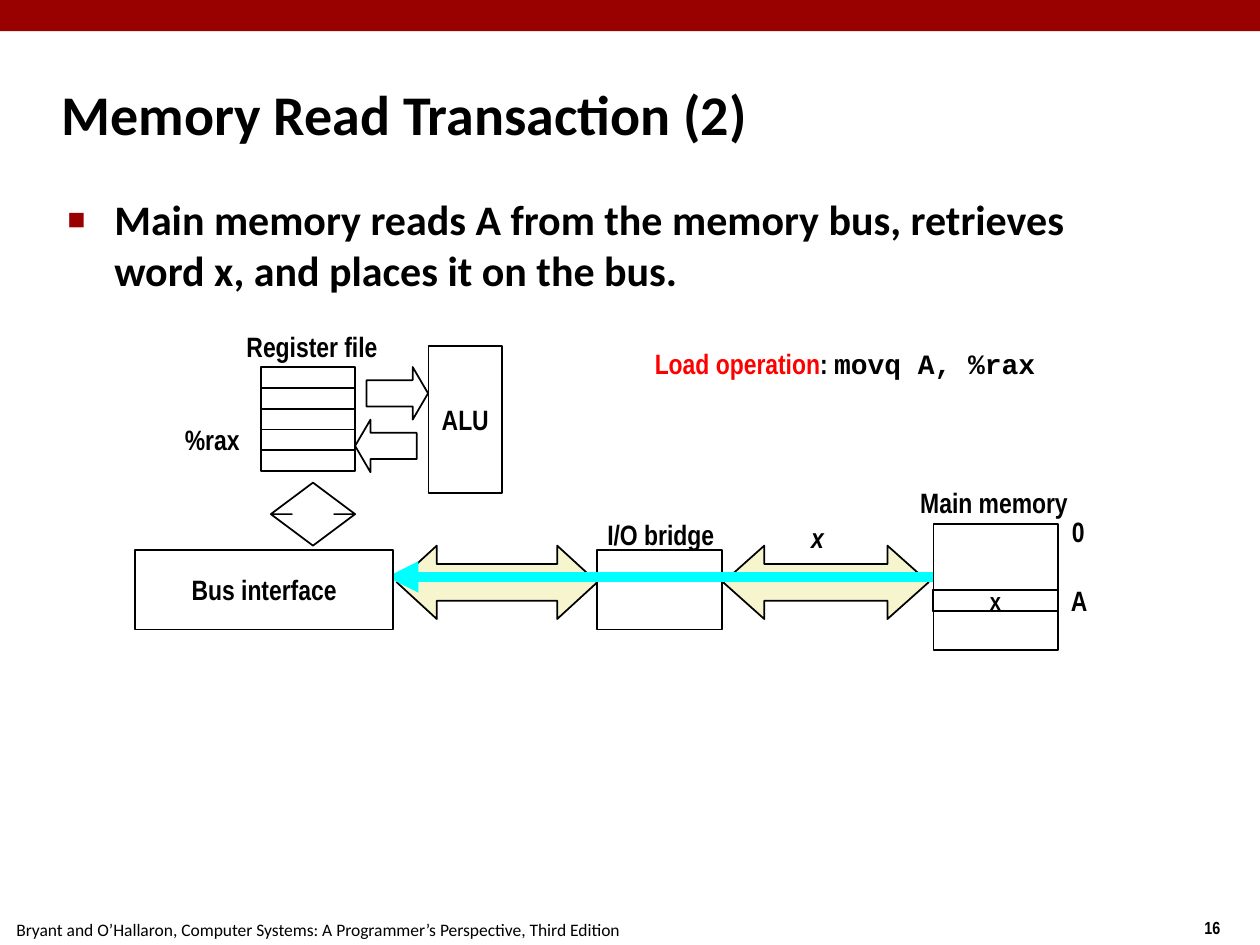
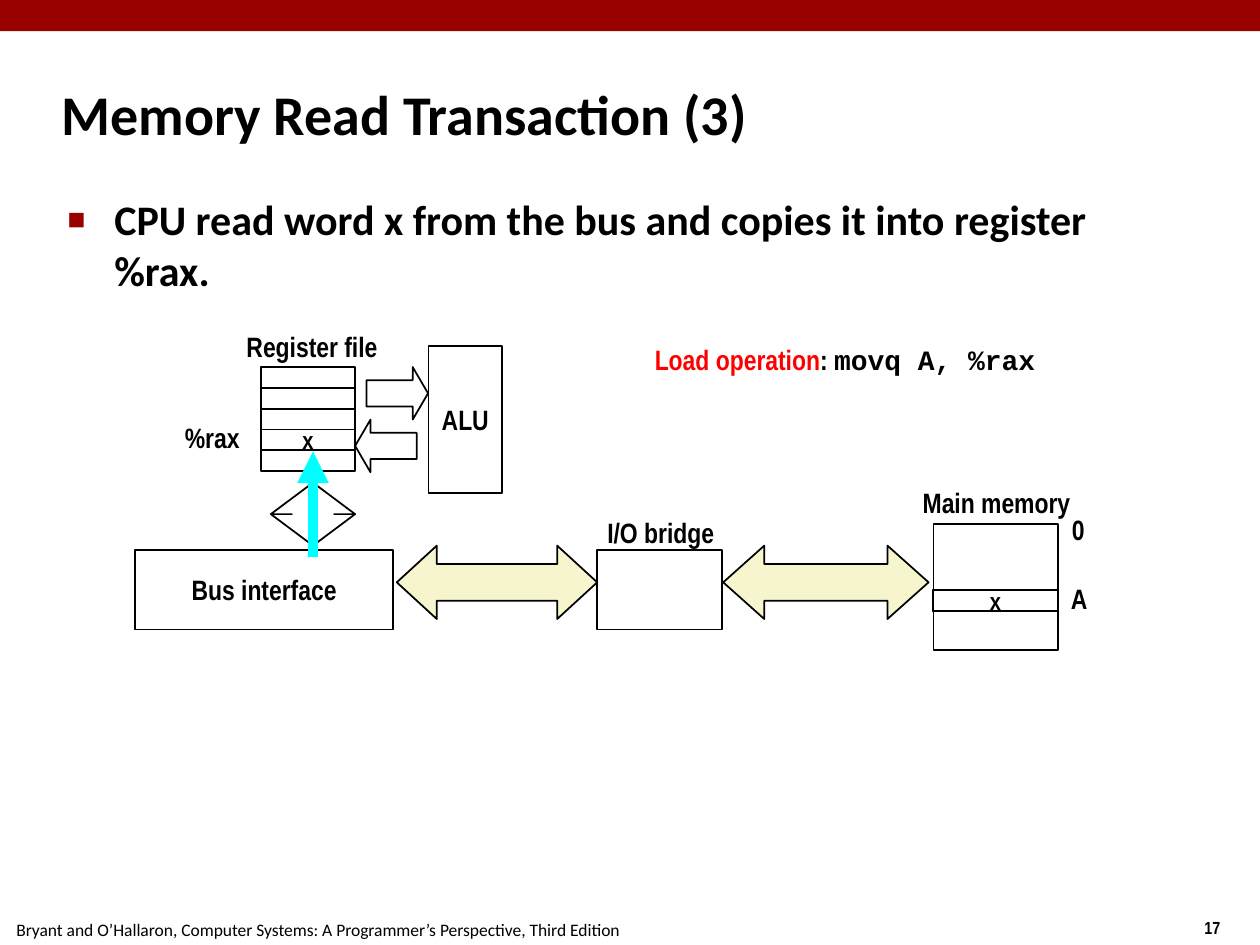
from lxml import etree
from pptx import Presentation
from pptx.dml.color import RGBColor
from pptx.enum.shapes import MSO_CONNECTOR, MSO_SHAPE
from pptx.enum.text import MSO_ANCHOR, MSO_AUTO_SIZE, PP_ALIGN
from pptx.oxml.ns import qn
from pptx.util import Cm, Pt

RECTANGLE = MSO_SHAPE.RECTANGLE
RIGHT_ARROW = MSO_SHAPE.RIGHT_ARROW
LEFT_ARROW = MSO_SHAPE.LEFT_ARROW
UP_DOWN_ARROW = MSO_SHAPE.UP_DOWN_ARROW
LEFT_RIGHT_ARROW = MSO_SHAPE.LEFT_RIGHT_ARROW
STRAIGHT = MSO_CONNECTOR.STRAIGHT
LEFT, CENTER = PP_ALIGN.LEFT, PP_ALIGN.CENTER
TOP, MIDDLE = MSO_ANCHOR.TOP, MSO_ANCHOR.MIDDLE
NO_FIT, GROW = MSO_AUTO_SIZE.NONE, MSO_AUTO_SIZE.SHAPE_TO_FIT_TEXT

BLACK, WHITE, RED = "000000", "FFFFFF", "FF0000"
CRIMSON, CREAM, CYAN = "990000", "F7F5CD", "00FFFF"
TEXT_FONT, LABEL_FONT, CODE_FONT = "Calibri", "Arial Narrow", "Courier New"

FOOTER = "Bryant and O’Hallaron, Computer Systems: A Programmer’s Perspective, Third Edition"
LOAD_OPERATION = [
    ("Load operation", RED, LABEL_FONT),
    (": ", BLACK, LABEL_FONT),
    ("movq A, %rax", BLACK, CODE_FONT),
]

SLIDES = [
    {
        "number": "16",
        "title": "Memory Read Transaction (2)",
        "bullet": "Main memory reads A from the memory bus, retrieves word x, and places it on the bus.",
        "registers": ["", "", "", "", ""],
        "bus_flow": True,
        "label_rise": 0,
        "memory_label_left": 18.21,
        "operation_top": 6.86,
    },
    {
        "number": "17",
        "title": "Memory Read Transaction (3)",
        "bullet": "CPU read word x from the bus and copies it into register %rax.",
        "registers": ["", "", "", "x", ""],
        "bus_flow": False,
        "label_rise": 0.04,
        "memory_label_left": 18.26,
        "operation_top": 6.78,
    },
]

REGISTER_LEFT, REGISTER_TOP = 5.26, 7.4
REGISTER_WIDTH, REGISTER_HEIGHT = 1.9, 0.42
BUS_ARROWS = [(14.58, 4.14, 0.56), (8, 4.04, 0.545)]
ALU_ARROWS = [(RIGHT_ARROW, 7.39, 7.4), (LEFT_ARROW, 7.16, 8.46)]
LABELS = [
    ("0", 21.36, 10.24, 0.8, LEFT),
    ("A", 21.34, 11.63, 0.9, LEFT),
    ("%rax", 3.28, 8.38, 2, CENTER),
    ("I/O bridge", 11.82, 10.31, 3, CENTER),
]
LABEL_HEIGHT = 0.94


def color(value):
    return RGBColor.from_string(value)


def add_span(para, text, size, font=LABEL_FONT, ink=BLACK, bold=True, italic=False):
    span = para.add_run()
    span.text = text
    span.font.size = Pt(size)
    span.font.name = font
    span.font.bold = bold
    span.font.italic = italic
    span.font.color.rgb = color(ink)


def add_shape(page, kind, left, top, width, height, fill=None, line=BLACK,
              text="", size=16, adjustments=()):
    shape = page.shapes.add_shape(kind, Cm(left), Cm(top), Cm(width), Cm(height))
    shape.shadow.inherit = False
    for index, value in enumerate(adjustments):
        shape.adjustments[index] = value
    if fill:
        shape.fill.solid()
        shape.fill.fore_color.rgb = color(fill)
    else:
        shape.fill.background()
    if line:
        shape.line.color.rgb = color(line)
        shape.line.width = Pt(1)
    else:
        shape.line.fill.background()
    if text:
        frame = shape.text_frame
        frame.word_wrap = False
        frame.vertical_anchor = MIDDLE
        para = frame.paragraphs[0]
        para.alignment = CENTER
        add_span(para, text, size)


def add_text_box(page, left, top, width, height, align=LEFT, anchor=TOP):
    box = page.shapes.add_textbox(Cm(left), Cm(top), Cm(width), Cm(height))
    frame = box.text_frame
    frame.word_wrap = False
    frame.auto_size = GROW
    frame.vertical_anchor = anchor
    para = frame.paragraphs[0]
    para.alignment = align
    return para


def add_label(page, text, left, top, width, align=LEFT, italic=False):
    para = add_text_box(page, left, top, width, LABEL_HEIGHT, align, MIDDLE)
    add_span(para, text, 16, italic=italic)


def add_flow(page, start, end):
    flow = page.shapes.add_connector(STRAIGHT, *(Cm(value) for value in start + end))
    flow.line.color.rgb = color(CYAN)
    flow.line.width = Pt(6)
    etree.SubElement(flow.line._get_or_add_ln(), qn("a:tailEnd"), type="triangle")
    etree.SubElement(flow._element.spPr, qn("a:effectLst"))


def place(holder, left, top, width, height, anchor):
    holder.left, holder.top = Cm(left), Cm(top)
    holder.width, holder.height = Cm(width), Cm(height)
    frame = holder.text_frame
    frame.word_wrap = True
    frame.auto_size = NO_FIT
    frame.vertical_anchor = anchor
    para = frame.paragraphs[0]
    para.alignment = LEFT
    para.space_before = Pt(0)
    return para


def add_bullet(para):
    properties = para._p.get_or_add_pPr()
    properties.set("marL", str(Cm(0.96)))
    properties.set("indent", str(-Cm(0.94)))
    bullet_color = etree.SubElement(properties, qn("a:buClr"))
    etree.SubElement(bullet_color, qn("a:srgbClr"), val=CRIMSON)
    etree.SubElement(properties, qn("a:buSzPct"), val="45000")
    etree.SubElement(properties, qn("a:buFont"), typeface=TEXT_FONT)
    etree.SubElement(properties, qn("a:buChar"), char="■")


def add_frame(page, content):
    add_shape(page, RECTANGLE, 0, 0, 25.4, 0.63, fill=CRIMSON, line=None)
    add_span(add_text_box(page, 24.03, 18.36, 1.9, 0.69), content["number"], 10)
    footer = add_text_box(page, 0.08, 18.41, 13.5, 0.69)
    add_span(footer, FOOTER, 10, TEXT_FONT, bold=False)
    title = place(page.shapes.title, 0.99, 1.22, 21.08, 2.11, MIDDLE)
    add_span(title, content["title"], 32, TEXT_FONT)
    body = place(page.placeholders[1], 1.09, 3.78, 21.95, 13.82, TOP)
    add_bullet(body)
    add_span(body, content["bullet"], 24, TEXT_FONT)


def add_processor(page, registers):
    for row, value in enumerate(registers):
        add_shape(page, RECTANGLE, REGISTER_LEFT, REGISTER_TOP + row * REGISTER_HEIGHT,
                  REGISTER_WIDTH, REGISTER_HEIGHT, text=value, size=14)
    for kind, left, top in ALU_ARROWS:
        add_shape(page, kind, left, top, 1.24, 1.06, adjustments=(0.5, 0.292))
    add_shape(page, RECTANGLE, 8.64, 6.98, 1.48, 2.96, text="ALU")
    add_label(page, "Register file", 4.72, 6.51, 3.15)
    add_shape(page, UP_DOWN_ARROW, 5.46, 9.73, 1.7, 1.27, adjustments=(0.2, 0.5))


def add_memory(page, label_left):
    add_shape(page, RECTANGLE, 18.82, 10.57, 2.51, 2.54)
    add_shape(page, RECTANGLE, 18.8, 11.89, 2.54, 0.43, text="x", size=14)
    add_label(page, "Main memory", label_left, 9.65, 3.66, CENTER)


def add_diagram(page, content):
    for left, width, head in BUS_ARROWS:
        add_shape(page, LEFT_RIGHT_ARROW, left, 11, width, 1.48,
                  fill=CREAM, adjustments=(0.5, head))
    add_shape(page, RECTANGLE, 12.04, 11.09, 2.51, 1.6)
    add_processor(page, content["registers"])
    if content["bus_flow"]:
        add_flow(page, (18.8, 11.63), (7.8, 11.63))
        add_label(page, "x", 16.08, 10.36, 0.8, CENTER, italic=True)
    add_shape(page, RECTANGLE, 2.72, 11.09, 5.21, 1.6, fill=WHITE, text="Bus interface")
    if not content["bus_flow"]:
        add_flow(page, (6.31, 11.22), (6.31, 9.1))
    add_memory(page, content["memory_label_left"])
    for text, left, top, width, align in LABELS:
        add_label(page, text, left, top - content["label_rise"], width, align)
    operation = add_text_box(page, 12.95, content["operation_top"], 8.2, LABEL_HEIGHT)
    for text, ink, font in LOAD_OPERATION:
        add_span(operation, text, 16, font, ink)


def main():
    deck = Presentation()
    deck.slide_width, deck.slide_height = Cm(25.4), Cm(19.05)
    for content in SLIDES:
        page = deck.slides.add_slide(deck.slide_layouts[1])
        add_frame(page, content)
        add_diagram(page, content)
    deck.save("out.pptx")


if __name__ == "__main__":
    main()
